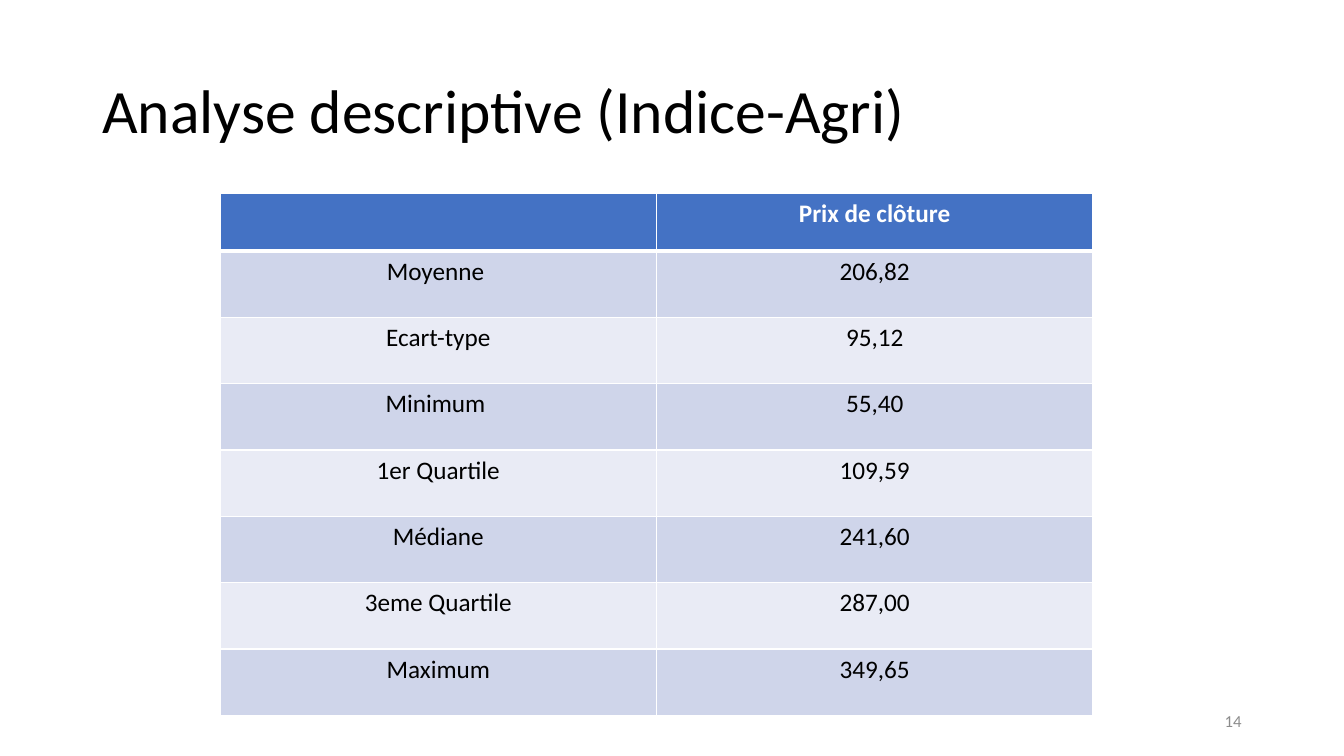
from lxml import etree
from pptx import Presentation
from pptx import util as u
from pptx.dml import color
from pptx.enum import text
from pptx.oxml import ns

STATISTICS = [
    ("", "Prix de clôture"),
    ("Moyenne ", "206,82"),
    ("Ecart-type", "95,12"),
    ("Minimum ", "55,40"),
    ("1er Quartile", "109,59"),
    ("Médiane", "241,60"),
    ("3eme Quartile", "287,00"),
    ("Maximum", "349,65"),
]
HEADER_FILL = "4472C4"
BAND_FILLS = ("E9EBF5", "CFD5EA")


def rgb(value):
    return color.RGBColor.from_string(value)


def style_paragraph(paragraph, size, hex_color, align, bold=False):
    paragraph.alignment = align
    paragraph.font.name = "Calibri"
    paragraph.font.size = u.Pt(size)
    paragraph.font.bold = bold
    paragraph.font.color.rgb = rgb(hex_color)


def add_label(slide, box, content, size, hex_color, align):
    shape = slide.shapes.add_textbox(*map(u.Pt, box))
    frame = shape.text_frame
    frame.word_wrap = True
    frame.vertical_anchor = text.MSO_ANCHOR.MIDDLE
    paragraph = frame.paragraphs[0]
    paragraph.text = content
    style_paragraph(paragraph, size, hex_color, align)
    return paragraph


def add_borders(cell, widths):
    properties = cell._tc.get_or_add_tcPr()
    for side, width in zip("LRTB", widths):
        line = etree.SubElement(properties, ns.qn(f"a:ln{side}"), w=str(u.Pt(width)))
        fill = etree.SubElement(line, ns.qn("a:solidFill"))
        etree.SubElement(fill, ns.qn("a:srgbClr"), val="FFFFFF")


def add_statistics_table(slide, box, header_height):
    left, top, width, height = box
    row_count, column_count = len(STATISTICS), len(STATISTICS[0])
    frame = slide.shapes.add_table(row_count, column_count, *map(u.Pt, box))
    table = frame.table
    for column in table.columns:
        column.width = u.Pt(width / column_count)
    for index, values in enumerate(STATISTICS):
        header = index == 0
        body_height = (height - header_height) / (row_count - 1)
        table.rows[index].height = u.Pt(header_height if header else body_height)
        for column, value in enumerate(values):
            cell = table.cell(index, column)
            add_borders(cell, (1, 1, 3 if index == 1 else 1, 3 if header else 1))
            cell.fill.solid()
            cell.fill.fore_color.rgb = rgb(HEADER_FILL if header else BAND_FILLS[index % 2])
            paragraph = cell.text_frame.paragraphs[0]
            paragraph.text = value
            style_paragraph(paragraph, 18, "FFFFFF" if header else "000000",
                            text.PP_ALIGN.CENTER, header)


def build_slide(presentation):
    slide = presentation.slides.add_slide(presentation.slide_layouts[6])
    title = add_label(slide, (66, 28.75, 828, 104.4), "Analyse descriptive (Indice-Agri)",
                      44, "000000", text.PP_ALIGN.LEFT)
    title.line_spacing = 0.9
    add_statistics_table(slide, (157.2, 138.4, 623.5, 372.6), 41)
    add_label(slide, (678, 500.5, 216, 28.75), "14", 12, "8C8C8C", text.PP_ALIGN.RIGHT)


def main():
    presentation = Presentation()
    presentation.slide_width = u.Pt(960)
    presentation.slide_height = u.Pt(540)
    build_slide(presentation)
    presentation.save("out.pptx")


if __name__ == "__main__":
    main()
